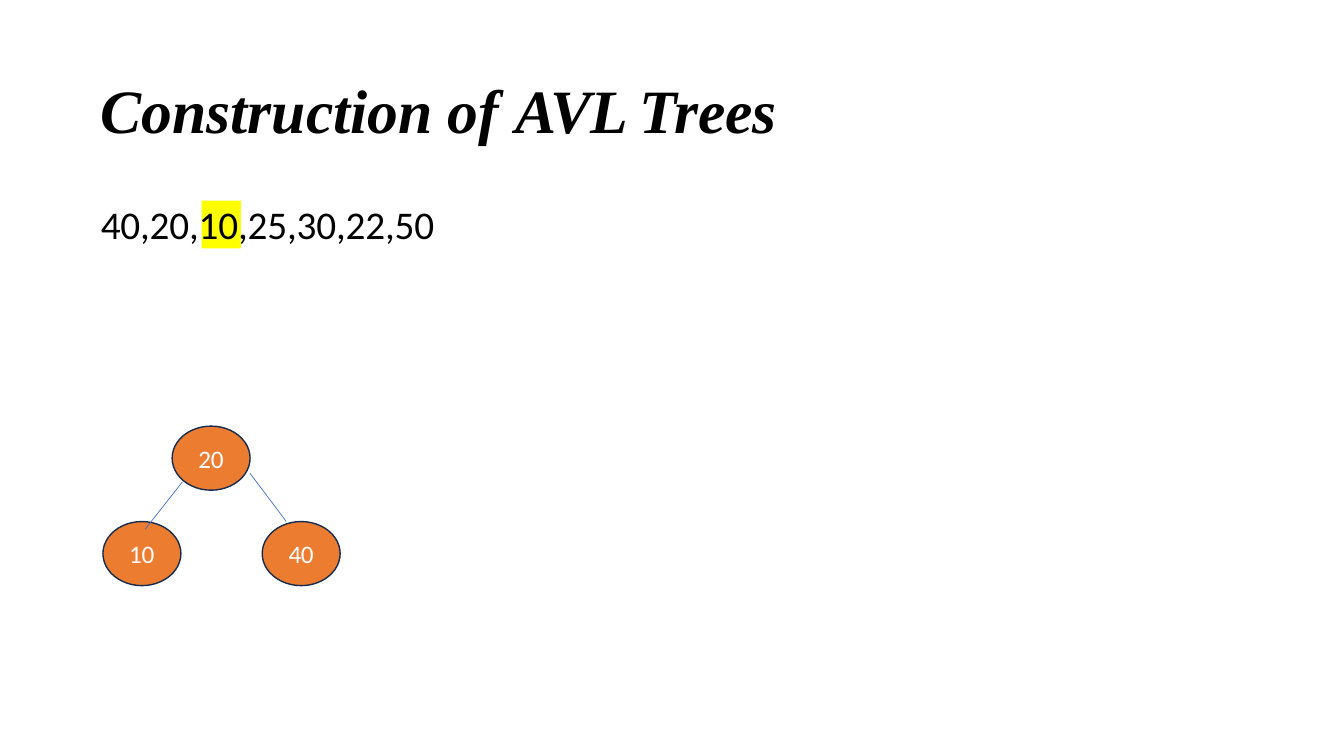
import pptx
import pptx.util
import pptx.dml.color
import pptx.enum.shapes
import pptx.enum.text
import lxml.etree

Pt = pptx.util.Pt
SHAPE = pptx.enum.shapes.MSO_SHAPE
ANCHOR = pptx.enum.text.MSO_ANCHOR
ALIGN = pptx.enum.text.PP_ALIGN

TITLE = [("Construction of ", 0), ("AVL ", -1.1), ("Trees", -0.2)]
KEYS = [("40,20,10,25,30,22,50", -0.1)]

COLS, ROWS = 100, 75
TITLE_BOX = (7.5, 6.9, 50.7, 7.6)
KEYS_BOX = (7.5, 19.6, 25.28, 4.9)
MARK_BOX = (15, 19.9, 2.93, 4.75)
NODE_SIZE = (5.8, 6.36)
NODES = {"40": (22.41, 54.92), "20": (15.71, 45.45), "10": (10.56, 54.92)}
EDGES = [((21.3, 51.73), (18.6, 46.95)), ((13.58, 47.8), (10.8, 52.5))]

THEME = {
    "ink": "000000", "light": "FFFFFF", "mark": "FFFF00",
    "node": "EC7C30", "outline": "172C51", "edge": "4471C4",
    "head": "Times New Roman", "body": "Calibri",
    "title_pt": 44, "keys_pt": 28, "node_pt": 18,
    "outline_pt": 1, "edge_pt": 0.5,
}

prs = pptx.Presentation()
prs.slide_width = pptx.util.Inches(13.33)
prs.slide_height = pptx.util.Inches(7.5)
slide = prs.slides.add_slide(prs.slide_layouts[6])


def color(name):
    return pptx.dml.color.RGBColor.from_string(THEME[name])


def place(x, y):
    return round(x * prs.slide_width / COLS), round(y * prs.slide_height / ROWS)


def write(sp, runs, font, size, ink, align=ALIGN.LEFT, top=0, strong=False):
    tf = sp.text_frame
    tf.word_wrap = False
    tf.margin_left = tf.margin_right = tf.margin_bottom = 0
    tf.margin_top = Pt(top)
    p = tf.paragraphs[0]
    p.alignment = align
    p.font.name, p.font.size = THEME[font], Pt(THEME[size])
    p.font.color.rgb = color(ink)
    p.font.bold = p.font.italic = strong
    for text, spacing in runs:
        r = p.add_run()
        r.text = text
        r._r.get_or_add_rPr().set("spc", str(round(spacing * 100)))


def add_text(box, *args, **kwargs):
    x, y, w, h = box
    sp = slide.shapes.add_textbox(*place(x, y), *place(w, h))
    write(sp, *args, **kwargs)


def add_filled(kind, box, fill):
    x, y, w, h = box
    sp = slide.shapes.add_shape(kind, *place(x, y), *place(w, h))
    sp.shadow.inherit = False
    sp.fill.solid()
    sp.fill.fore_color.rgb = color(fill)
    sp.line.fill.background()
    return sp


def add_node(key, center):
    (x, y), (w, h) = center, NODE_SIZE
    sp = add_filled(SHAPE.OVAL, (x - w / 2, y - h / 2, w, h), "node")
    sp.line.color.rgb = color("outline")
    sp.line.width = Pt(THEME["outline_pt"])
    sp.text_frame.vertical_anchor = ANCHOR.MIDDLE
    write(sp, [(key, -0.2)], "body", "node_pt", "light", ALIGN.CENTER)


def add_edge(start, end):
    line = slide.shapes.add_connector(
        pptx.enum.shapes.MSO_CONNECTOR.STRAIGHT, *place(*start), *place(*end))
    line.line.color.rgb = color("edge")
    line.line.width = Pt(THEME["edge_pt"])
    lxml.etree.SubElement(line._element.spPr, pptx.oxml.ns.qn("a:effectLst"))


add_text(TITLE_BOX, TITLE, "head", "title_pt", "ink", top=2, strong=True)
add_filled(SHAPE.RECTANGLE, MARK_BOX, "mark")
add_text(KEYS_BOX, KEYS, "body", "keys_pt", "ink", top=1.8)
for key, center in NODES.items():
    add_node(key, center)
for start, end in EDGES:
    add_edge(start, end)

prs.save("out.pptx")
